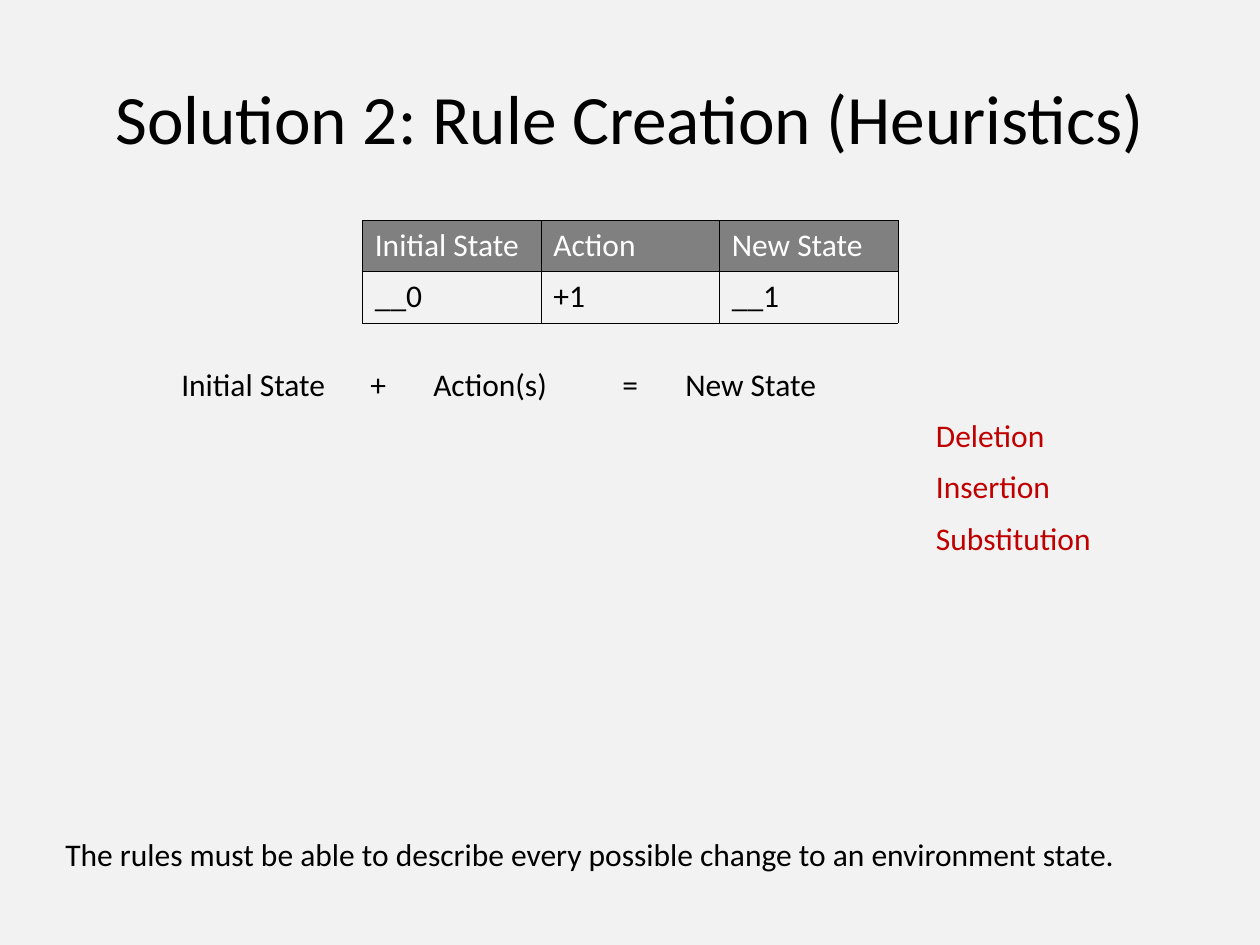
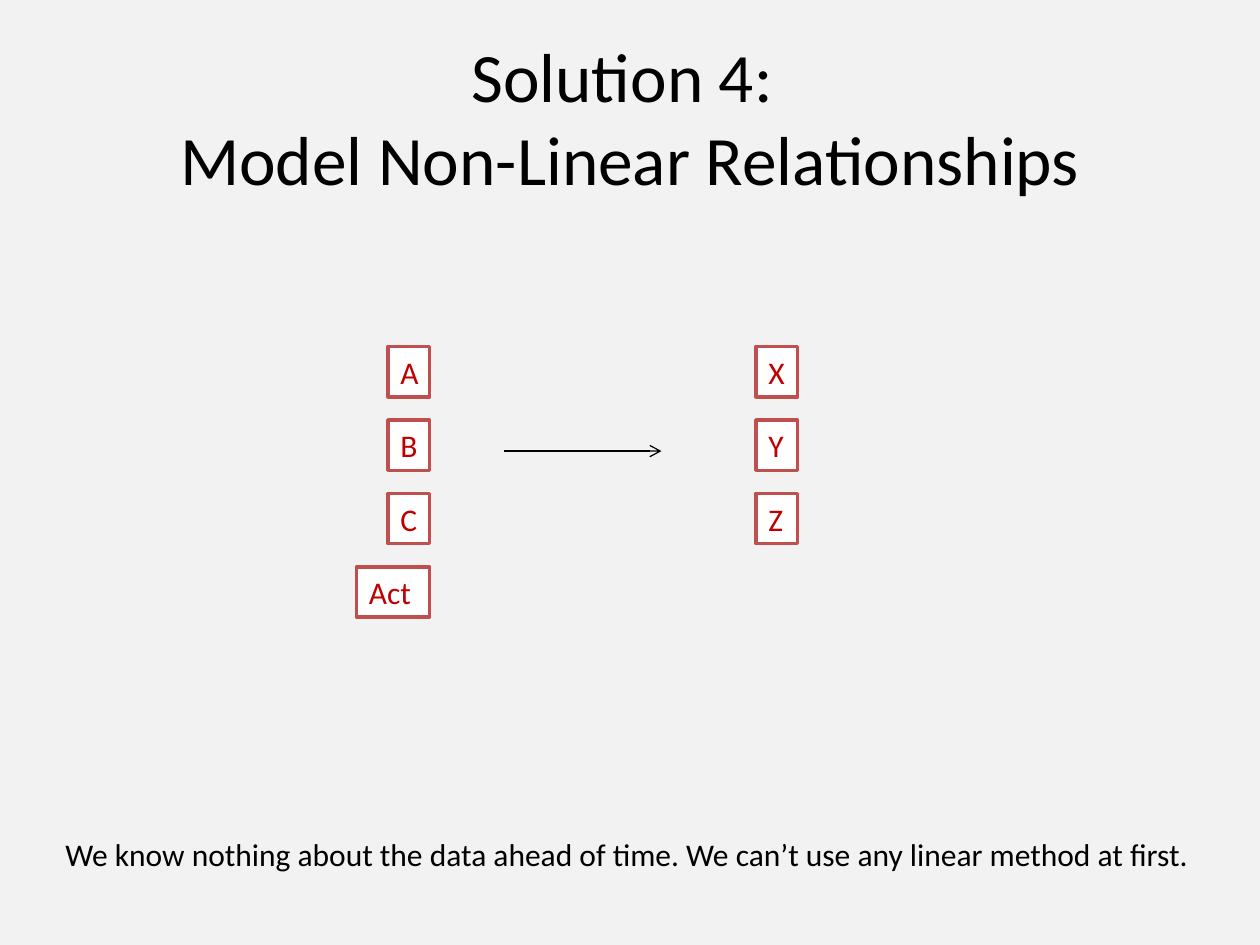
from lxml.etree import SubElement
from pptx import Presentation
from pptx.dml.color import RGBColor
from pptx.enum.shapes import MSO_CONNECTOR, MSO_SHAPE
from pptx.enum.text import MSO_ANCHOR, PP_ALIGN
from pptx.oxml.ns import qn
from pptx.util import Inches, Pt

BLACK = RGBColor(0x00, 0x00, 0x00)
WHITE = RGBColor(0xFF, 0xFF, 0xFF)
PALE = RGBColor(0xF2, 0xF2, 0xF2)
GRAY = RGBColor(0x80, 0x80, 0x80)
RED = RGBColor(0xC0, 0x00, 0x00)
BRICK = RGBColor(0xC0, 0x50, 0x4D)
FONT = "Calibri"
WIDTH, HEIGHT = 10, 7.5
LINE_HEIGHT = 0.4

RULES_TITLE = "Solution 2: Rule Creation (Heuristics)"
RULES_NOTE = "The rules must be able to describe every possible change to an environment state."
RULE_TABLE = [("Initial State", "Action", "New State"), ("__0", "+1", "__1")]
EQUATION = "Initial State\t+\tAction(s)\t\t=\tNew State"
CHANGES = ["Deletion", "Insertion", "Substitution"]

MODEL_TITLE = "Solution 4: \vModel Non-Linear Relationships"
MODEL_NOTE = "We know nothing about the data ahead of time. We can’t use any linear method at first."
INPUTS = ["A", "B", "C", "Act"]
OUTPUTS = ["X", "Y", "Z"]


def write(frame, text, size=18, color=BLACK, align=PP_ALIGN.LEFT, anchor=MSO_ANCHOR.TOP):
    frame.word_wrap = True
    frame.vertical_anchor = anchor
    para = frame.paragraphs[0]
    para.text = text
    para.alignment = align
    for span in para.runs:
        span.font.name = FONT
        span.font.size = Pt(size)
        span.font.bold = False
        span.font.color.rgb = color


def add_text(page, text, left, top, width, height=LINE_HEIGHT, **style):
    box = page.shapes.add_textbox(Inches(left), Inches(top), Inches(width), Inches(height))
    write(box.text_frame, text, **style)


def add_page(deck, title, note):
    page = deck.slides.add_slide(deck.slide_layouts[6])
    page.background.fill.solid()
    page.background.fill.fore_color.rgb = PALE
    add_text(page, title, 0.5, 0.3, WIDTH - 1, 1.25, size=39.6,
             align=PP_ALIGN.CENTER, anchor=MSO_ANCHOR.MIDDLE)
    add_text(page, note, 0.42, 6.58, 9.17)
    return page


def add_borders(cell):
    properties = cell._tc.get_or_add_tcPr()
    for index, side in enumerate(("lnL", "lnR", "lnT", "lnB")):
        border = properties.makeelement(qn(f"a:{side}"), {"w": str(Pt(0.25))})
        fill = SubElement(border, qn("a:solidFill"))
        SubElement(fill, qn("a:srgbClr"), val=str(BLACK))
        properties.insert(index, border)


def add_rule_table(page, rows, top, width, row_height):
    frame = page.shapes.add_table(
        len(rows), len(rows[0]), Inches((WIDTH - width) / 2), Inches(top),
        Inches(width), Inches(row_height * len(rows)))
    table = frame.table
    table.first_row = table.horz_banding = False
    for row, texts in enumerate(rows):
        for column, text in enumerate(texts):
            cell = table.cell(row, column)
            write(cell.text_frame, text, color=BLACK if row else WHITE)
            if row:
                cell.fill.background()
            else:
                cell.fill.solid()
                cell.fill.fore_color.rgb = GRAY
            add_borders(cell)


def add_variables(page, names, right, top=2.75, pitch=0.583):
    for row, name in enumerate(names):
        width = 0.33 if len(name) == 1 else 0.58
        box = page.shapes.add_shape(
            MSO_SHAPE.RECTANGLE, Inches(right - width), Inches(top + row * pitch),
            Inches(width), Inches(LINE_HEIGHT))
        box.shadow.inherit = False
        box.fill.solid()
        box.fill.fore_color.rgb = WHITE
        box.line.color.rgb = BRICK
        box.line.width = Pt(2)
        write(box.text_frame, name, color=RED)


def add_arrow(page, start, end, height):
    arrow = page.shapes.add_connector(
        MSO_CONNECTOR.STRAIGHT, Inches(start), Inches(height), Inches(end), Inches(height))
    arrow.line.color.rgb = BLACK
    arrow.line.width = Pt(0.75)
    SubElement(arrow.line._get_or_add_ln(), qn("a:tailEnd"), type="arrow")
    SubElement(arrow._element.spPr, qn("a:effectLst"))


def main():
    deck = Presentation()
    deck.slide_width, deck.slide_height = Inches(WIDTH), Inches(HEIGHT)

    rules = add_page(deck, RULES_TITLE, RULES_NOTE)
    add_rule_table(rules, RULE_TABLE, top=1.75, width=4.25, row_height=0.406)
    add_text(rules, EQUATION, 1.34, 2.85, 7.31)
    for row, change in enumerate(CHANGES):
        add_text(rules, change, 7.33, 3.25 + row * 0.41, 1.45, color=RED)

    model = add_page(deck, MODEL_TITLE, MODEL_NOTE)
    add_arrow(model, 4, 5.25, 3.58)
    add_variables(model, INPUTS, right=3.41)
    add_variables(model, OUTPUTS, right=6.33)

    deck.save("out.pptx")


if __name__ == "__main__":
    main()
